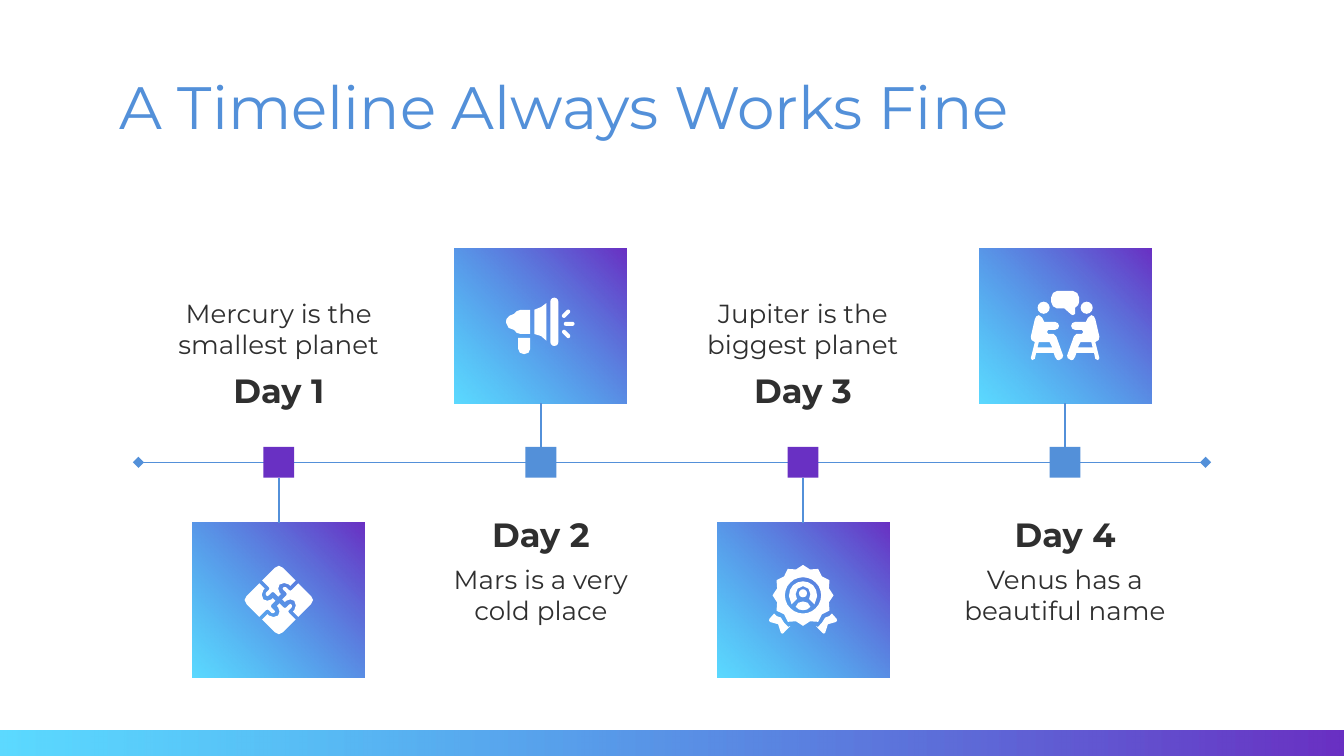
"""Build a four-day timeline slide with alternating gradient icon cards."""
from dataclasses import dataclass
from math import cos, pi, sin

from lxml import etree
from pptx import Presentation
from pptx import util as u
from pptx.dml.color import RGBColor
from pptx.enum import shapes, text
from pptx.oxml import parse_xml
from pptx.oxml.ns import nsdecls, qn


@dataclass(frozen=True)
class Theme:
    font: str = "Montserrat"
    blue: str = "5390D9"
    purple: str = "6930C3"
    cyan: str = "00C4FF"
    cyan_alpha: int = 64000
    dark: str = "2F2F2F"
    white: str = "FFFFFF"
    title_size: int = 32
    day_size: int = 18
    body_size: int = 14
    line_width: float = 0.75


THEME = Theme()
TITLE = "A Timeline Always Works Fine"
DAYS = [
    ("Day 1", "Mercury is the smallest planet", "puzzle"),
    ("Day 2", "Mars is a very cold place", "megaphone"),
    ("Day 3", "Jupiter is the biggest planet", "badge"),
    ("Day 4", "Venus has a beautiful name", "meeting"),
]

WIDTH = 10
HEIGHT = WIDTH * 9 / 16
COLUMN_STEP = 1.95
FIRST_COLUMN = WIDTH / 2 - COLUMN_STEP * (len(DAYS) - 1) / 2
AXIS_Y, AXIS_MARGIN = 3.44, 1.03
MARKER, BAR = 0.23, 0.19
CARD_WIDTH, CARD_HEIGHT = 1.28, 1.15
TEXT_WIDTH, DAY_HEIGHT, BODY_HEIGHT = 1.86, 0.41, 0.67
ABOVE = {"card": 1.85, "day": 2.7, "body": 2.11}
BELOW = {"card": 3.89, "day": 3.77, "body": 4.09}
ICON_UNIT = 0.01


def mirror(points):
    return [(-x, y) for x, y in points]


def quarter_turn(points):
    return [(y, -x) for x, y in points]


def radial(count, radii, center_y):
    angles = [2 * pi * i / count for i in range(count)]
    return [(radii[i % len(radii)] * sin(a), center_y - radii[i % len(radii)] * cos(a))
            for i, a in enumerate(angles)]


PIECE = [(0, -25.5), (-3, -24), (-12.5, -14.5), (-7.5, -9.5), (-7, -8.5), (-7.5, -7.5),
         (-9.5, -5.5), (-9.8, -4.5), (-9.5, -3.5), (-8.5, -2.8), (-7.5, -3.5),
         (-5.5, -5.5), (-4.5, -5.9), (-3.5, -5.5), (-0.5, -2.5), (1.5, -4.5), (0.5, -5.5),
         (-0.5, -8.5), (0.5, -11.5), (4, -12.7), (7.5, -11.5), (8.5, -10.5),
         (12.5, -14.5), (3, -24)]
PIECES = [PIECE]
for _ in range(3):
    PIECES.append(quarter_turn(PIECES[-1]))

PERSON = [(-19.5, -8), (-21.5, -7), (-22.5, -5), (-25.5, 8), (-25, 10.5), (-22.5, 12),
          (-25.5, 24), (-24.5, 25.5), (-22.5, 24.5), (-21.5, 20), (-8.5, 20), (-7.5, 23),
          (-6, 25.2), (-4.5, 25.5), (-2, 24), (-1.5, 22), (-6.5, 8), (-8.5, 6), (-12.5, 6),
          (-13.5, 4.5), (-12.5, 3), (-7.5, 3), (-5.3, 2), (-4.5, 0), (-5.3, -2), (-7.5, -3),
          (-15.5, -3), (-17, -6)]
CHAIR_GAP = [(-11.5, 12), (-9.5, 16), (-20.5, 16), (-19.5, 12)]
BUBBLE = [(-6, -26), (-9, -24.5), (-10.5, -21), (-10.5, -18), (-9, -14.5), (-6, -13),
          (-0.5, -13), (4.5, -8.5), (6, -8), (7.5, -9), (7.5, -13.5), (9.7, -15.5),
          (10.5, -18), (10.5, -21), (9, -24.5), (6, -26)]
RIBBON = [(-21.5, 10), (-25, 14), (-25.3, 15.3), (-24.5, 16.3), (-18.5, 18), (-16.5, 24.3),
          (-15.5, 25), (-14.5, 24.5), (-9.5, 19.3), (-11, 20), (-14, 17), (-16.5, 13),
          (-19.5, 12)]
FRAME = [(0, -14), (-4, -13.2), (-7.5, -11), (-9.7, -7.5), (-10.5, -3), (-8.5, 3.2),
         (-4.5, -0.8), (-5.5, -4.5), (-4, -8.5), (0, -10.4), (4, -8.5), (5.5, -4.5),
         (4.5, -0.8), (8.5, 3.2), (10.5, -3), (9.7, -7.5), (7.5, -11), (4, -13.2)]
BUST = [(0, 1), (-3.5, 2), (-5.5, 5), (-3, 7), (0, 7.5), (3, 7), (5.5, 5), (3.5, 2)]
BODY = [(-15, -12), (-18, -11), (-20, -9), (-23.5, -7.5), (-25.7, -5), (-26, -2.5),
        (-24, 1.5), (-20, 3), (-18, 5.2), (-15, 6), (-8, 6), (-8, -12)]
HORN = [(4, -17), (0, -14), (-5, -12), (-5, 6), (0, 7.5), (4, 11)]
GRIP = [(-17, 9), (-17, 17), (-15.7, 20), (-12.5, 21), (-9.3, 20), (-8, 17), (-8, 9)]

ICONS = {
    "puzzle": {"outlines": [[piece] for piece in PIECES]},
    "megaphone": {
        "outlines": [[BODY], [HORN], [GRIP]],
        "rounded": [(7, -21, 6, 36, 0), (17, -3, 8, 3, 0),
                    (15, 4.5, 7.5, 3, 45), (15, -10.5, 7.5, 3, -45)],
    },
    "badge": {
        "outlines": [[radial(24, (22.7, 20), -3.5), radial(24, (13.5,), -3.5)],
                     [FRAME], [BUST], [RIBBON], [mirror(RIBBON)]],
        "ovals": [(-3, -8, 6, 6)],
    },
    "meeting": {
        "outlines": [[PERSON, CHAIR_GAP], [mirror(PERSON), mirror(CHAIR_GAP)], [BUBBLE]],
        "ovals": [(-20.5, -18, 9, 9), (11.5, -18, 9, 9)],
    },
}


def paint(shape, color):
    shape.shadow.inherit = False
    shape.line.fill.background()
    shape.fill.solid()
    shape.fill.fore_color.rgb = RGBColor.from_string(color)


def add_preset(target, kind, left, top, width, height, color):
    shape = target.add_shape(kind, *map(u.Inches, (left, top, width, height)))
    paint(shape, color)
    return shape


def add_gradient(target, left, top, width, height, direction, reverse=False):
    shape = add_preset(target, shapes.MSO_SHAPE.RECTANGLE, left, top, width, height, THEME.purple)
    ends = (100000, 0) if reverse else (0, 100000)
    stops = [f'<a:gs pos="{ends[0]}"><a:srgbClr val="{THEME.purple}"/></a:gs>',
             f'<a:gs pos="{ends[1]}"><a:srgbClr val="{THEME.cyan}">'
             f'<a:alpha val="{THEME.cyan_alpha}"/></a:srgbClr></a:gs>']
    if reverse:
        stops.reverse()
    gradient = parse_xml(f'<a:gradFill {nsdecls("a")} rotWithShape="0"><a:gsLst>'
                         f'{"".join(stops)}</a:gsLst>{direction}</a:gradFill>')
    properties = shape._element.spPr
    properties.replace(properties.find(qn("a:solidFill")), gradient)


def add_text(target, content, left, top, width, height, size, color, bold=False, centered=True):
    frame = target.add_textbox(*map(u.Inches, (left, top, width, height))).text_frame
    frame.word_wrap = True
    frame.margin_left = frame.margin_right = frame.margin_top = frame.margin_bottom = u.Inches(0.1)
    frame.vertical_anchor = text.MSO_ANCHOR.MIDDLE if centered else text.MSO_ANCHOR.TOP
    paragraph = frame.paragraphs[0]
    paragraph.alignment = text.PP_ALIGN.CENTER if centered else text.PP_ALIGN.LEFT
    run = paragraph.add_run()
    run.text = content
    run.font.name, run.font.size, run.font.bold = THEME.font, u.Pt(size), bold
    run.font.color.rgb = RGBColor.from_string(color)


def add_line(target, *ends, diamonds=False):
    line = target.add_connector(shapes.MSO_CONNECTOR.STRAIGHT, *map(u.Inches, ends))
    line.line.color.rgb = RGBColor.from_string(THEME.blue)
    line.line.width = u.Pt(THEME.line_width)
    for tag in ("a:headEnd", "a:tailEnd") if diamonds else ():
        etree.SubElement(line.line._get_or_add_ln(), qn(tag), type="diamond")
    etree.SubElement(line._element.spPr, qn("a:effectLst"))


def add_icon(target, icon, center_x, center_y):
    group = target.add_group_shape().shapes
    for outline in icon["outlines"]:
        contours = [[(x * 10, y * 10) for x, y in contour] for contour in outline]
        builder = group.build_freeform(*contours[0][0], scale=u.Inches(ICON_UNIT) / 10)
        for contour in contours:
            if contour is not contours[0]:
                builder.move_to(*contour[0])
            builder.add_line_segments(contour[1:], close=True)
        paint(builder.convert_to_shape(u.Inches(center_x), u.Inches(center_y)), THEME.white)
    rounds = [(shapes.MSO_SHAPE.OVAL, *box, 0) for box in icon.get("ovals", [])]
    rounds += [(shapes.MSO_SHAPE.ROUNDED_RECTANGLE, *box) for box in icon.get("rounded", [])]
    for kind, x, y, width, height, turn in rounds:
        shape = add_preset(group, kind, center_x + x * ICON_UNIT, center_y + y * ICON_UNIT,
                           width * ICON_UNIT, height * ICON_UNIT, THEME.white)
        shape.rotation = turn
        if kind == shapes.MSO_SHAPE.ROUNDED_RECTANGLE:
            shape.adjustments[0] = 0.5


def add_day(target, index, day, description, icon):
    center = FIRST_COLUMN + index * COLUMN_STEP
    card_below = index % 2 == 0
    card_top = (BELOW if card_below else ABOVE)["card"]
    words = ABOVE if card_below else BELOW
    left = center - TEXT_WIDTH / 2
    add_text(target, day, left, words["day"], TEXT_WIDTH, DAY_HEIGHT,
             THEME.day_size, THEME.dark, bold=True)
    add_text(target, description, left, words["body"], TEXT_WIDTH, BODY_HEIGHT,
             THEME.body_size, THEME.dark)
    add_preset(target, shapes.MSO_SHAPE.RECTANGLE, center - MARKER / 2, AXIS_Y - MARKER / 2,
               MARKER, MARKER, THEME.purple if card_below else THEME.blue)
    add_gradient(target, center - CARD_WIDTH / 2, card_top, CARD_WIDTH, CARD_HEIGHT,
                 '<a:path path="circle"><a:fillToRect l="100000" b="100000"/></a:path>')
    if card_below:
        add_line(target, center, AXIS_Y + MARKER / 2, center, card_top)
    else:
        add_line(target, center, card_top + CARD_HEIGHT, center, AXIS_Y - MARKER / 2)
    add_icon(target, ICONS[icon], center, card_top + CARD_HEIGHT / 2)


def main():
    presentation = Presentation()
    presentation.slide_width, presentation.slide_height = u.Inches(WIDTH), u.Inches(HEIGHT)
    slide = presentation.slides.add_slide(presentation.slide_layouts[6])
    add_gradient(slide.shapes, 0, HEIGHT - BAR, WIDTH, BAR, '<a:lin ang="0"/>', reverse=True)
    add_text(slide.shapes, TITLE, 0.79, 0.42, 8.43, 0.67,
             THEME.title_size, THEME.blue, centered=False)
    add_line(slide.shapes, AXIS_MARGIN, AXIS_Y, WIDTH - AXIS_MARGIN, AXIS_Y, diamonds=True)
    for index, day in enumerate(DAYS):
        add_day(slide.shapes, index, *day)
    presentation.save("out.pptx")


if __name__ == "__main__":
    main()
